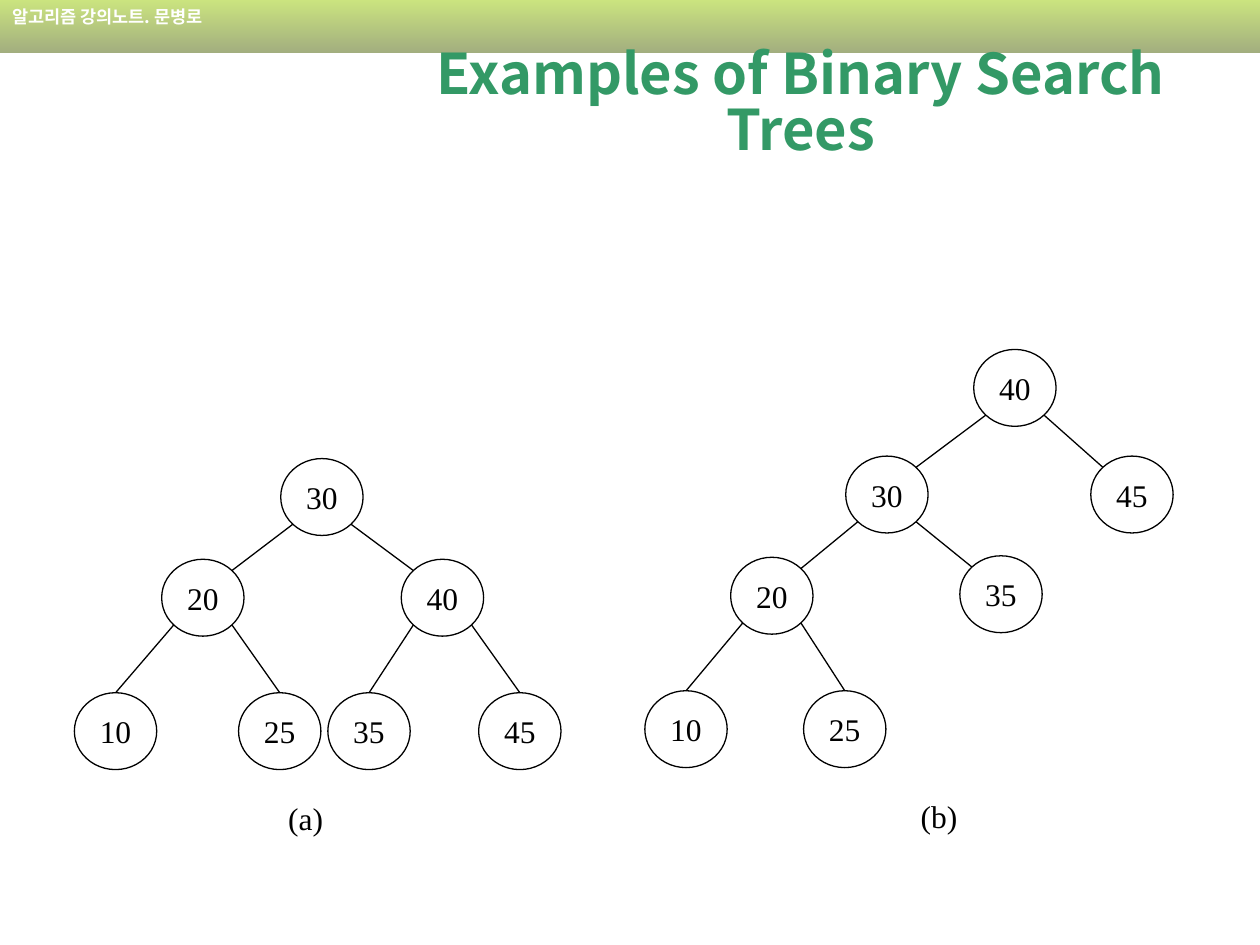
from dataclasses import dataclass
from math import sqrt

from lxml.etree import SubElement
from pptx import Presentation
from pptx.dml.color import RGBColor as RGB
from pptx.enum.shapes import MSO_CONNECTOR as Line, MSO_SHAPE as Shape
from pptx.enum.text import MSO_ANCHOR as Anchor, MSO_AUTO_SIZE as Fit, PP_ALIGN as Align
from pptx.oxml.ns import qn
from pptx.util import Cm, Pt


@dataclass(frozen=True)
class Theme:
    ink: str = "000000"
    heading: str = "339966"
    light: str = "FFFFFF"
    band: tuple = ("99CC00", "475E00")
    band_alpha: int = 50
    sans: str = "Noto Sans CJK KR"
    serif: str = "Times New Roman"
    title_size: int = 32
    node_size: int = 18
    band_size: int = 10
    line_width: float = 0.75


NODE_W, NODE_H = 1.66, 1.55
STEEP = 2.5

TREE_A = {
    30: (6.49, 10.02, None),
    20: (4.09, 12.05, 30),
    40: (8.92, 12.05, 30),
    10: (2.33, 14.74, 20),
    25: (5.64, 14.74, 20),
    35: (7.44, 14.74, 40),
    45: (10.48, 14.74, 40),
}
TREE_B = {
    40: (20.46, 7.82, None),
    30: (17.88, 9.97, 40),
    45: (22.82, 9.97, 40),
    20: (15.56, 12.01, 30),
    35: (20.18, 11.98, 30),
    10: (13.83, 14.7, 20),
    25: (17.03, 14.7, 20),
}


def write(tf, text, *, size, font, color, bold=False, align=Align.LEFT,
          anchor=Anchor.TOP, wrap=True, spacing=None):
    tf.auto_size = Fit.NONE
    tf.word_wrap = wrap
    tf.vertical_anchor = anchor
    p = tf.paragraphs[0]
    p.alignment = align
    p.line_spacing = spacing
    r = p.add_run()
    r.text = text
    r.font.size = Pt(size)
    r.font.name = font
    r.font.bold = bold
    r.font.color.rgb = RGB.from_string(color)
    SubElement(r.font._element, qn("a:ea")).set("typeface", font)


class Deck:
    def __init__(self, theme):
        self.theme = theme
        self.prs = Presentation()
        self.prs.slide_width, self.prs.slide_height = Cm(25.4), Cm(19.05)
        self.s = self.prs.slides.add_slide(self.prs.slide_layouts[5])

    def band(self, text, height):
        t = self.theme
        sp = self.s.shapes.add_shape(Shape.RECTANGLE, 0, 0, self.prs.slide_width, Cm(height))
        sp.shadow.inherit = False
        sp.line.fill.background()
        sp.fill.gradient()
        sp.fill.gradient_angle = 270
        for stop, color, position in zip(sp.fill.gradient_stops, t.band, (0, 1)):
            stop.color.rgb = RGB.from_string(color)
            stop.position = position
        for clr in sp._element.spPr.iter(qn("a:srgbClr")):
            SubElement(clr, qn("a:alpha")).set("val", str(t.band_alpha * 1000))
        write(sp.text_frame, text, size=t.band_size, font=t.sans, color=t.light, bold=True)

    def title(self, text, x, y, w, h):
        t = self.theme
        sp = self.s.shapes.title
        sp.left, sp.top, sp.width, sp.height = Cm(x), Cm(y), Cm(w), Cm(h)
        self.s.shapes._spTree.append(sp._element)
        write(sp.text_frame, text, size=t.title_size, font=t.sans, color=t.heading,
              bold=True, align=Align.CENTER, anchor=Anchor.MIDDLE, spacing=0.84)

    def node(self, key, x, y):
        t = self.theme
        sp = self.s.shapes.add_shape(Shape.OVAL, Cm(x - NODE_W / 2), Cm(y - NODE_H / 2),
                                     Cm(NODE_W), Cm(NODE_H))
        sp.shadow.inherit = False
        sp.fill.background()
        self.stroke(sp.line)
        write(sp.text_frame, str(key), size=t.node_size, font=t.serif, color=t.ink,
              align=Align.CENTER, anchor=Anchor.MIDDLE, wrap=False)

    def edge(self, x1, y1, x2, y2):
        c = self.s.shapes.add_connector(Line.STRAIGHT, Cm(x1), Cm(y1), Cm(x2), Cm(y2))
        self.stroke(c.line)
        SubElement(c._element.spPr, qn("a:effectLst"))

    def stroke(self, line):
        line.color.rgb = RGB.from_string(self.theme.ink)
        line.width = Pt(self.theme.line_width)

    def tree(self, nodes):
        dx, dy = NODE_W / 2 / sqrt(2), NODE_H / 2 / sqrt(2)
        for key, (x, y, parent) in nodes.items():
            self.node(key, x, y)
            if parent is None:
                continue
            px, py, _ = nodes[parent]
            side = 1 if x > px else -1
            end = (x, y - NODE_H / 2) if y - py > STEEP else (x - side * dx, y - dy)
            self.edge(px + side * dx, py + dy, *end)

    def caption(self, text, x, y):
        t = self.theme
        sp = self.s.shapes.add_textbox(Cm(x), Cm(y), Cm(1.23), Cm(1.02))
        write(sp.text_frame, text, size=t.node_size, font=t.serif, color=t.ink, wrap=False)

    def save(self):
        self.prs.save("out.pptx")


def main():
    deck = Deck(Theme())
    deck.band("알고리즘 강의노트. 문병로", 1.07)
    deck.tree(TREE_A)
    deck.tree(TREE_B)
    deck.caption("(a)", 5.56, 15.98)
    deck.caption("(b)", 18.31, 15.95)
    deck.title("Examples of Binary Search Trees", 7.01, 1.07, 18.26, 2.11)
    deck.save()


if __name__ == "__main__":
    main()
